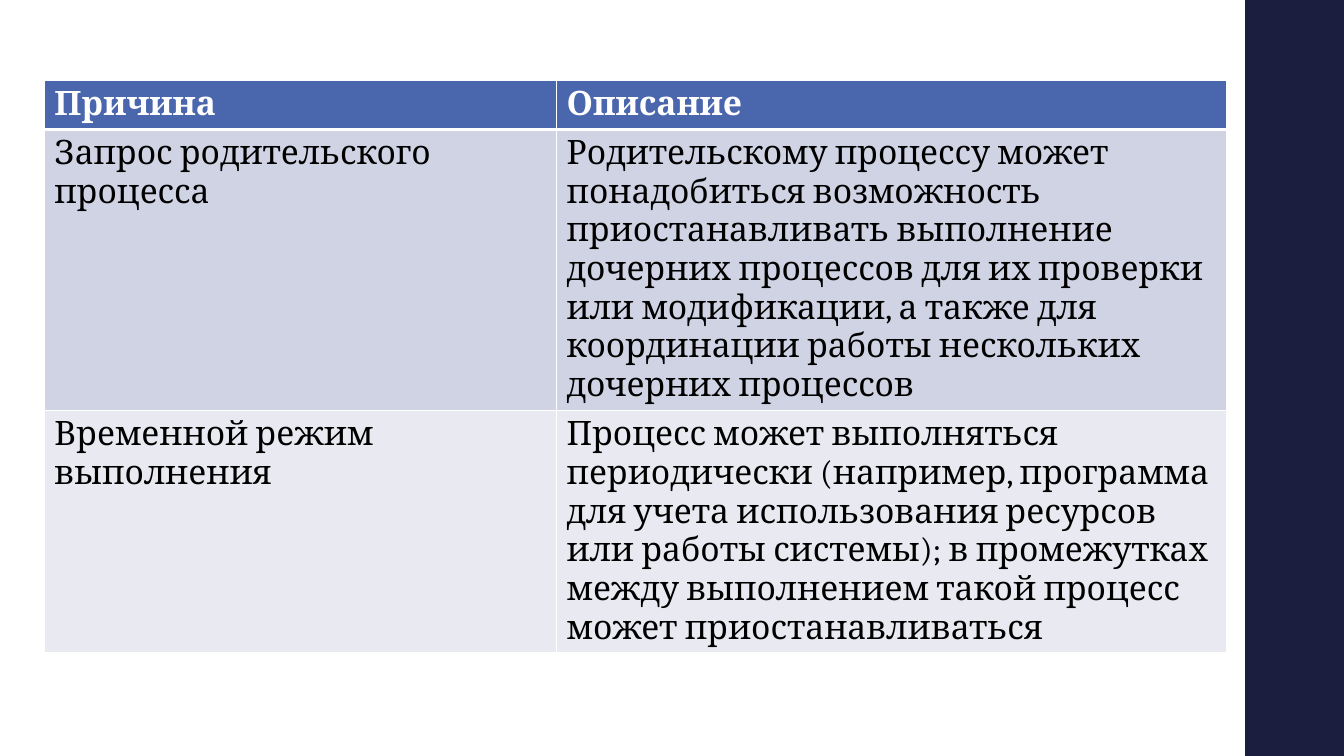
from dataclasses import dataclass

from lxml import etree
from pptx import Presentation
from pptx import util as u
from pptx.dml.color import RGBColor
from pptx.enum import shapes
from pptx.oxml import ns


@dataclass(frozen=True)
class Theme:
    font: str = "Cambria"
    size: int = 24
    navy: str = "1B1E3E"
    border: str = "FFFFFF"
    thin: int = 1
    thick: int = 3


@dataclass(frozen=True)
class TableRow:
    texts: tuple[str, str]
    height: float
    fill: str
    color: str = "000000"
    bold: bool = False


THEME = Theme()
COLUMN_WIDTHS = (5.08, 6.65)
ROWS = (
    TableRow(("Причина", "Описание"), 0.48, "4A66AC", "FFFFFF", True),
    TableRow(
        (
            "Запрос родительского процесса",
            "Родительскому процессу может понадобиться возможность "
            "приостанавливать выполнение дочерних процессов для их проверки "
            "или модификации, а также для координации работы нескольких "
            "дочерних процессов",
        ),
        2.79,
        "D0D3E3",
    ),
    TableRow(
        (
            "Временной режим выполнения",
            "Процесс может выполняться периодически (например, программа "
            "для учета использования ресурсов или работы системы); "
            "в промежутках между выполнением такой процесс может "
            "приостанавливаться",
        ),
        2.4,
        "E9EAF1",
    ),
)


def set_border(cell, side: str, points: int) -> None:
    properties = cell._tc.get_or_add_tcPr()
    line = etree.SubElement(properties, ns.qn(f"a:ln{side}"), w=str(u.Pt(points)))
    fill = etree.SubElement(line, ns.qn("a:solidFill"))
    etree.SubElement(fill, ns.qn("a:srgbClr"), val=THEME.border)


def fill_cell(cell, row: TableRow, text: str, top: int, bottom: int) -> None:
    widths = {"L": THEME.thin, "R": THEME.thin, "T": top, "B": bottom}
    for side, points in widths.items():
        set_border(cell, side, points)
    cell.fill.solid()
    cell.fill.fore_color.rgb = RGBColor.from_string(row.fill)
    cell.text = text
    font = cell.text_frame.paragraphs[0].font
    font.name = THEME.font
    font.size = u.Pt(THEME.size)
    font.bold = row.bold
    font.color.rgb = RGBColor.from_string(row.color)


def add_side_band(page) -> None:
    band = page.shapes.add_shape(
        shapes.MSO_SHAPE.RECTANGLE, u.Inches(12.35), 0, u.Inches(1), u.Inches(7.5)
    )
    band.shadow.inherit = False
    band.fill.solid()
    band.fill.fore_color.rgb = RGBColor.from_string(THEME.navy)
    band.line.fill.background()


def add_reasons_table(page) -> None:
    table = page.shapes.add_table(
        len(ROWS), len(COLUMN_WIDTHS), u.Inches(0.44), u.Inches(0.8),
        u.Inches(sum(COLUMN_WIDTHS)), u.Inches(sum(row.height for row in ROWS)),
    ).table
    for column, width in zip(table.columns, COLUMN_WIDTHS):
        column.width = u.Inches(width)
    for index, row in enumerate(ROWS):
        table.rows[index].height = u.Inches(row.height)
        top = THEME.thick if index == 1 else THEME.thin
        bottom = THEME.thick if index == 0 else THEME.thin
        for cell, text in zip(table.rows[index].cells, row.texts):
            fill_cell(cell, row, text, top, bottom)


def main() -> None:
    deck = Presentation()
    deck.slide_width = u.Inches(13.33)
    deck.slide_height = u.Inches(7.5)
    page = deck.slides.add_slide(deck.slide_layouts[6])
    add_side_band(page)
    add_reasons_table(page)
    deck.save("out.pptx")


if __name__ == "__main__":
    main()
